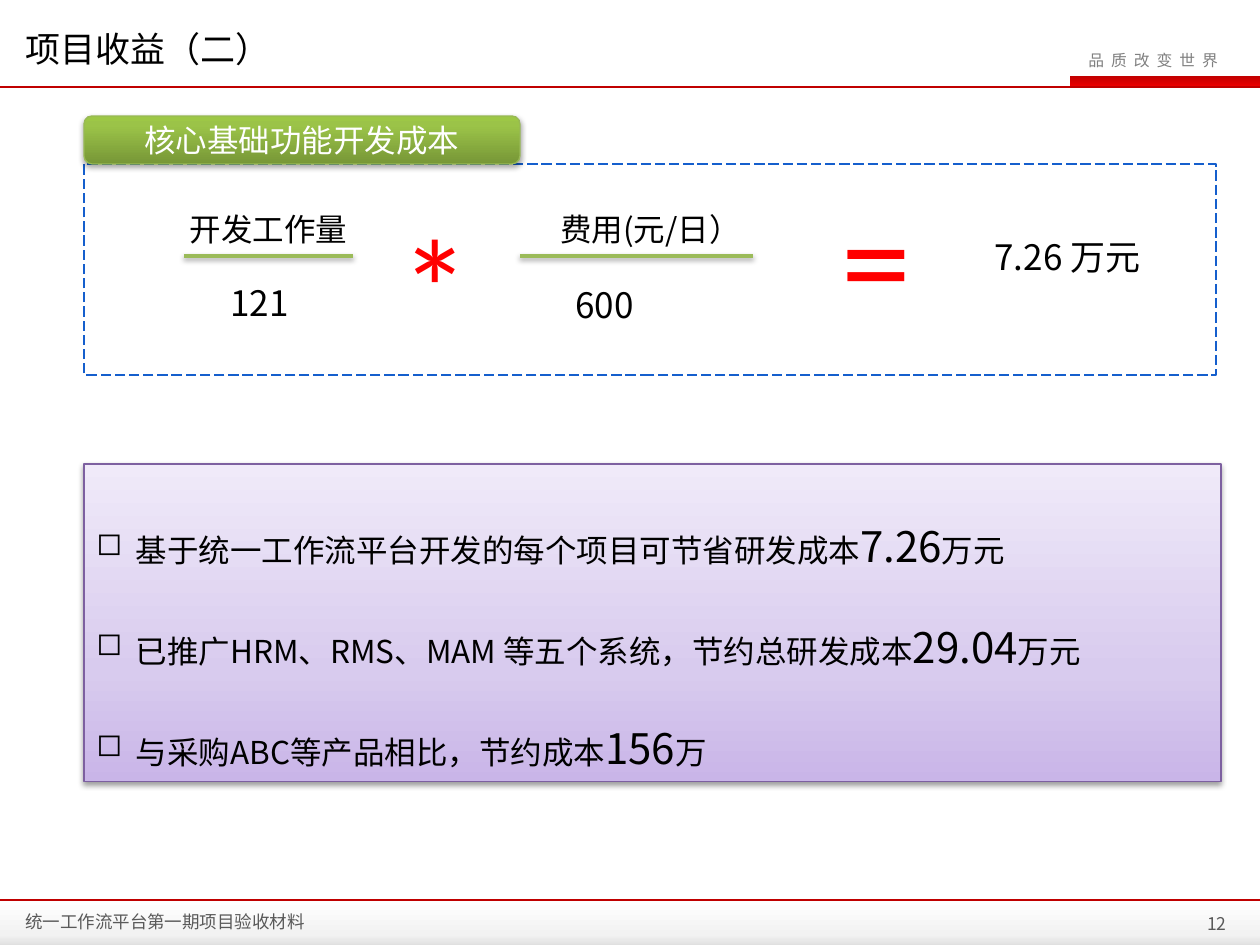
import pptx
import pptx.util
import pptx.dml.color
import pptx.enum.dml
import pptx.enum.shapes
import pptx.enum.text
import pptx.oxml
import pptx.oxml.ns

SCALE = 914400 // 126
FONT = "Noto Sans CJK SC"
COLORS = {
    "black": "000000", "white": "FFFFFF", "gray": "808080", "footer": "595959",
    "red": "C00000", "sign": "FF0000", "rule": "9BBB59", "dash": "155FCD",
    "purple": "7D60A0", "green": "98B955",
}
GRADIENTS = {
    "red": ([(0, "C00000"), (100, "EE0000")], 90),
    "footer": ([(0, "FFFFFF"), (75, "F2F2F2"), (100, "DCDCDC")], 90),
    "purple": ([(0, "C9B5E8"), (35, "D8CBEE"), (100, "F0EAF9")], 270),
    "green": ([(0, "779737"), (80, "9BC348"), (100, "9DC746")], 270),
}
ALIGN = pptx.enum.text.PP_ALIGN
ANCHOR = pptx.enum.text.MSO_ANCHOR
SHAPE = pptx.enum.shapes.MSO_SHAPE


def px(*lengths):
    """Turn pixels into EMU."""
    return [pptx.util.Emu(length * SCALE) for length in lengths]


def rgb(name):
    """Look up a colour by name."""
    return pptx.dml.color.RGBColor.from_string(COLORS[name])


def element(xml):
    """Parse a DrawingML fragment."""
    head, tail = xml.split(">", 1)
    space = " " + pptx.oxml.ns.nsdecls("a")
    if head.endswith("/"):
        return pptx.oxml.parse_xml(head[:-1] + space + "/>" + tail)
    return pptx.oxml.parse_xml(head + space + ">" + tail)


def set_effect(shape, shadow=0):
    """Give a shape a soft shadow of the given opacity, or none."""
    properties = shape._element.spPr
    for old in properties.findall(pptx.oxml.ns.qn("a:effectLst")):
        properties.remove(old)
    inner = ""
    if shadow:
        inner = ('<a:outerShdw blurRad="39370" dist="20320" dir="5400000" rotWithShape="0">'
                 f'<a:srgbClr val="000000"><a:alpha val="{shadow * 1000}"/></a:srgbClr>'
                 '</a:outerShdw>')
    properties.append(element(f"<a:effectLst>{inner}</a:effectLst>"))


def set_gradient(shape, name):
    """Fill a shape with a linear gradient."""
    stops, angle = GRADIENTS[name]
    marks = "".join(f'<a:gs pos="{place * 1000}"><a:srgbClr val="{color}"/></a:gs>'
                    for place, color in stops)
    fill = element(f'<a:gradFill rotWithShape="1"><a:gsLst>{marks}</a:gsLst>'
                   f'<a:lin ang="{angle * 60000}" scaled="0"/></a:gradFill>')
    shape._element.spPr.find(pptx.oxml.ns.qn("a:prstGeom")).addnext(fill)


def style_span(span, size, color="black", font=FONT):
    """Set size, colour and font of a run."""
    span.font.size = pptx.util.Pt(size)
    span.font.color.rgb = rgb(color)
    span.font.name = font
    span._r.get_or_add_rPr().find(pptx.oxml.ns.qn("a:latin")).addnext(
        element(f'<a:ea typeface="{font}"/>'))


def write(shape, text, size, color="black", align=ALIGN.LEFT, anchor=ANCHOR.TOP,
          font=FONT, wrap=True):
    """Put one styled line of text in a shape and return its paragraph."""
    frame = shape.text_frame
    frame.text = text
    frame.word_wrap = wrap
    frame.vertical_anchor = anchor
    para = frame.paragraphs[0]
    para.alignment = align
    style_span(para.runs[0], size, color, font)
    return para


def add_text(page, place, text, size, **style):
    """Add a text box with one line."""
    return write(page.shapes.add_textbox(*px(*place)), text, size, **style)


def add_block(page, place, gradient=None, line=None, shadow=0, kind=SHAPE.RECTANGLE):
    """Add a preset shape with gradient, outline and shadow."""
    block = page.shapes.add_shape(kind, *px(*place))
    if gradient:
        set_gradient(block, gradient)
    else:
        block.fill.background()
    if line:
        block.line.color.rgb = rgb(line)
        block.line.width = pptx.util.Pt(0.75)
    else:
        block.line.fill.background()
    set_effect(block, shadow)
    return block


def add_rule(page, left, right, top, color, width, shadow=0):
    """Add a horizontal line."""
    rule = page.shapes.add_connector(
        pptx.enum.shapes.MSO_CONNECTOR.STRAIGHT, *px(left, top, right, top))
    rule.line.color.rgb = rgb(color)
    rule.line.width = pptx.util.Pt(width)
    set_effect(rule, shadow)


def add_frame(page):
    """Draw the header and footer bands."""
    add_block(page, (1070, 76, 190, 11), "red")
    motto = add_text(page, (1076, 45, 171, 32), "品 质 改 变 世 界", 9, color="gray", wrap=False)
    motto.runs[0]._r.get_or_add_rPr().set("spc", "100")
    add_rule(page, 0, 1260, 87, "red", 1.5)
    add_block(page, (0, 900, 1260, 47), "footer")
    add_rule(page, 0, 1260, 900, "red", 1)
    add_text(page, (13, 908, 399, 27), "统一工作流平台第一期项目验收材料", 10,
             color="footer", anchor=ANCHOR.MIDDLE)
    add_text(page, (1090, 907, 149, 32), "12", 10, color="footer",
             align=ALIGN.RIGHT, anchor=ANCHOR.MIDDLE)


def add_title(page, text):
    """Move and format the title placeholder."""
    title = page.shapes.title
    title.left, title.top, title.width, title.height = px(13, 16, 816, 59)
    para = write(title, text, 20)
    para.line_spacing = pptx.util.Pt(27)


def add_benefits(page, items):
    """Add the purple panel of bullets with enlarged figures."""
    panel = add_block(page, (84, 464, 1137, 318), "purple", "purple", 38)
    frame = panel.text_frame
    frame.word_wrap = True
    frame.vertical_anchor = ANCHOR.TOP
    for index, parts in enumerate(items):
        para = frame.paragraphs[0] if index == 0 else frame.add_paragraph()
        para.alignment = ALIGN.LEFT
        para.line_spacing = 2.0
        for text, size in zip(parts, (18, 24, 18)):
            span = para.add_run()
            span.text = text
            style_span(span, size)
        properties = para._p.get_or_add_pPr()
        properties.set("marL", "285750")
        properties.set("indent", "-285750")
        properties.append(element('<a:buChar char="◻"/>'))


def add_formula(page):
    """Add the cost formula in its dashed frame with a green heading."""
    center = ALIGN.CENTER
    add_text(page, (154, 204, 229, 50), "开发工作量", 18, align=center)
    add_text(page, (512, 204, 277, 50), "费用(元/日）", 18, align=center)
    add_text(page, (175, 275, 169, 55), "121", 20, align=center)
    add_text(page, (520, 277, 169, 55), "600", 20, align=center)
    add_text(page, (929, 229, 277, 55), "7.26 万元", 20, align=center)
    for left, right in ((184, 353), (520, 753)):
        add_rule(page, left, right, 256, "rule", 2, 38)
    for left, top, sign in ((388, 193, "*"), (829, 164, "=")):
        add_text(page, (left, top, 108, 183), sign, 80, color="sign", font="Calibri")
    border = add_block(page, (84, 164, 1132, 211), line="dash")
    border.line.dash_style = pptx.enum.dml.MSO_LINE.LONG_DASH
    heading = add_block(page, (84, 116, 436, 48), "green", "green", 35,
                        SHAPE.ROUNDED_RECTANGLE)
    write(heading, "核心基础功能开发成本", 18, color="white", align=center,
          anchor=ANCHOR.MIDDLE, wrap=False)


def main():
    """Build the slide and save it."""
    deck = pptx.Presentation()
    deck.slide_width, deck.slide_height = px(1260, 945)
    page = deck.slides.add_slide(deck.slide_layouts[5])
    add_frame(page)
    add_title(page, "项目收益（二）")
    add_benefits(page, [
        ("基于统一工作流平台开发的每个项目可节省研发成本", "7.26", "万元"),
        ("已推广HRM、RMS、MAM 等五个系统，节约总研发成本", "29.04", "万元"),
        ("与采购ABC等产品相比，节约成本", "156", "万"),
    ])
    add_formula(page)
    deck.save("out.pptx")


main()
